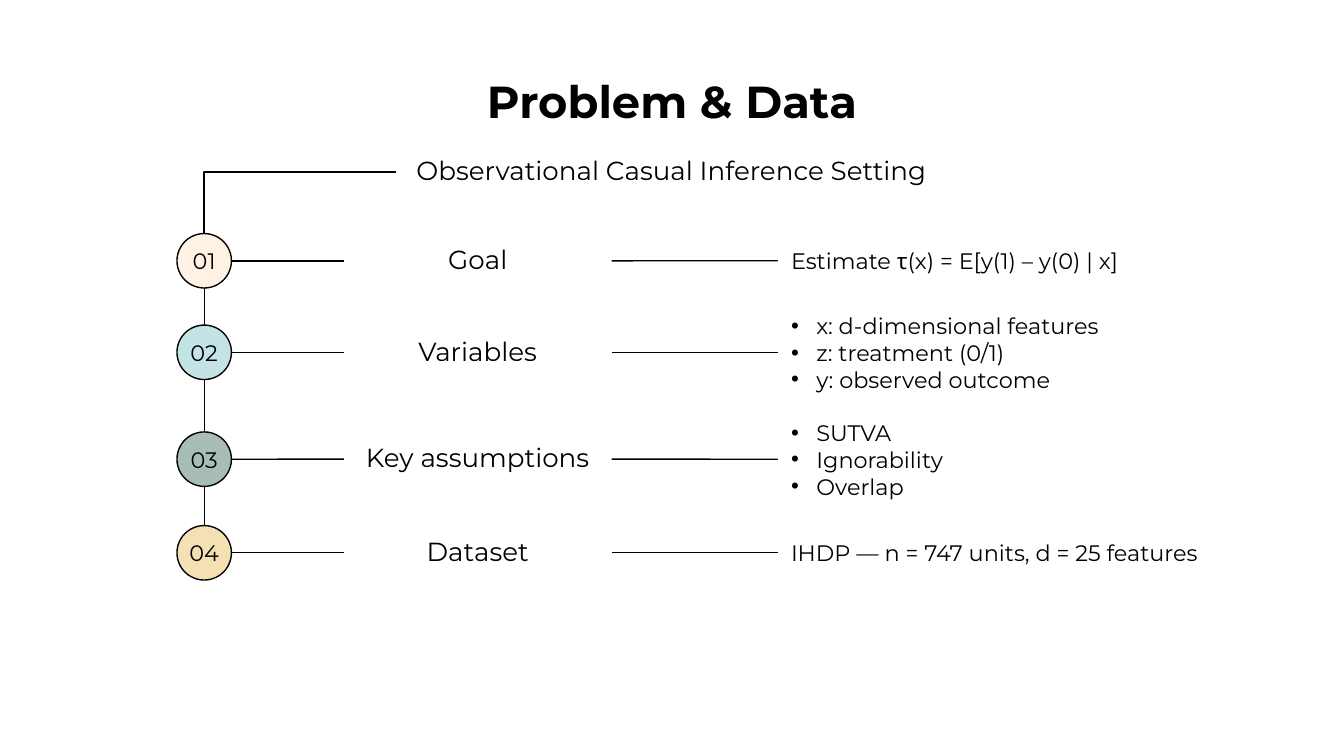
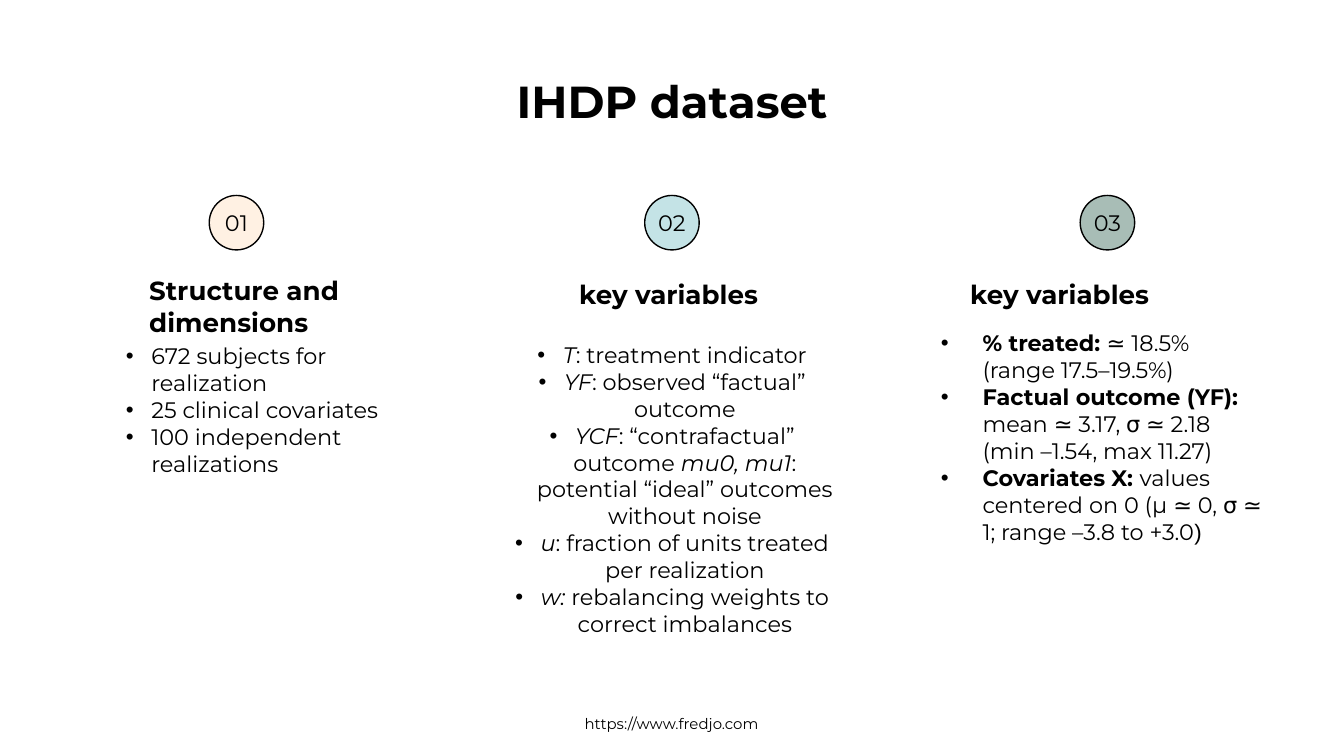
from dataclasses import dataclass

from lxml.etree import SubElement
from pptx import Presentation
from pptx.dml.color import RGBColor
from pptx.enum.shapes import MSO_CONNECTOR, MSO_SHAPE
from pptx.enum.text import MSO_ANCHOR, MSO_AUTO_SIZE, PP_ALIGN
from pptx.oxml.ns import qn
from pptx.util import Cm, Pt


@dataclass(frozen=True)
class Theme:
    font: str = "Montserrat"
    bullet_font: str = "Arial"
    ink: str = "000000"
    paper: str = "FFFFFF"
    badges: tuple = ("FFF1E3", "C4E3E6", "A8BDB6", "F5E0B3")
    title: int = 24
    heading: int = 14
    body: int = 12
    footer: int = 8
    line: float = 0.75
    badge: float = 1.03
    inset: float = 0.25


LEFT, CENTER, RIGHT = PP_ALIGN.LEFT, PP_ALIGN.CENTER, PP_ALIGN.RIGHT
TOP, MIDDLE, BOTTOM = MSO_ANCHOR.TOP, MSO_ANCHOR.MIDDLE, MSO_ANCHOR.BOTTOM


class Deck:
    def __init__(self, theme):
        self.theme = theme
        self.prs = Presentation()
        self.prs.slide_width, self.prs.slide_height = Cm(25.4), Cm(14.29)

    def new_slide(self, layout, title):
        """Start a slide on a template layout and place its title."""
        t = self.theme
        self.slide = self.prs.slides.add_slide(self.prs.slide_layouts.get_by_name(layout))
        self.slide.background.fill.solid()
        self.slide.background.fill.fore_color.rgb = RGBColor.from_string(t.paper)
        self.bodies = [ph for ph in self.slide.placeholders if ph.placeholder_format.idx > 0]
        sp = self.place(self.slide.shapes.title, (1.25, 1.14, 22.9, 1.55))
        self.fill_text(sp, [title], t.title, CENTER, TOP, bold=True)

    def place(self, sp, box):
        for name, value in zip(("left", "top", "width", "height"), box):
            setattr(sp, name, Cm(value))
        return sp

    def add_run(self, p, text, size, **fmt):
        r = p.add_run()
        r.text = text
        fmt = {"name": self.theme.font, "size": Pt(size), "bold": False, "italic": False} | fmt
        for name, value in fmt.items():
            setattr(r.font, name, value)
        r.font.color.rgb = RGBColor.from_string(self.theme.ink)

    def fill_text(self, sp, paragraphs, size, align, anchor, emphasis=None, side=None, edge=None, **fmt):
        """Fill a shape; segments between asterisks get the emphasis format."""
        tf = sp.text_frame
        side = self.theme.inset if side is None else side
        edge = self.theme.inset if edge is None else edge
        frame = {"word_wrap": True, "auto_size": MSO_AUTO_SIZE.NONE, "vertical_anchor": anchor,
                 "margin_left": Cm(side), "margin_right": Cm(side),
                 "margin_top": Cm(edge), "margin_bottom": Cm(edge)}
        for name, value in frame.items():
            setattr(tf, name, value)
        for i, text in enumerate(paragraphs):
            p = tf.add_paragraph() if i else tf.paragraphs[0]
            layout = {"alignment": align, "space_before": Pt(0), "space_after": Pt(0), "line_spacing": 1.0}
            for name, value in layout.items():
                setattr(p, name, value)
            for j, segment in enumerate(text.split("*")):
                if segment:
                    self.add_run(p, segment, size, **(fmt | (emphasis or {}) if j % 2 else fmt))
        return tf

    def text(self, box, text, size, align=CENTER, anchor=BOTTOM, **fmt):
        sp = self.slide.shapes.add_textbox(*map(Cm, box))
        self.fill_text(sp, [text], size, align, anchor, **fmt)
        return sp

    def bullets(self, box, items, align=LEFT, anchor=TOP, indent=0.48, **fmt):
        """Put a bulleted list in the next free body placeholder."""
        sp = self.place(self.bodies.pop(0), box)
        tf = self.fill_text(sp, items, self.theme.body, align, anchor, **fmt)
        for p in tf.paragraphs:
            pPr = p._p.get_or_add_pPr()
            pPr.set("marL", str(Cm(indent)))
            pPr.set("indent", str(-Cm(indent)))
            SubElement(SubElement(pPr, qn("a:buClr")), qn("a:srgbClr")).set("val", self.theme.ink)
            SubElement(pPr, qn("a:buFont")).set("typeface", self.theme.bullet_font)
            SubElement(pPr, qn("a:buChar")).set("char", "•")
        return sp

    def badge(self, x, y, index):
        """Numbered circle centred on x, y."""
        t = self.theme
        d = t.badge
        sp = self.slide.shapes.add_shape(MSO_SHAPE.OVAL, Cm(x - d / 2), Cm(y - d / 2), Cm(d), Cm(d))
        sp.shadow.inherit = False
        sp.fill.solid()
        sp.fill.fore_color.rgb = RGBColor.from_string(t.badges[index])
        self.stroke(sp)
        self.fill_text(sp, [f"{index + 1:02}"], t.body, CENTER, MIDDLE, side=0)
        return sp

    def stroke(self, sp):
        sp.line.color.rgb = RGBColor.from_string(self.theme.ink)
        sp.line.width = Pt(self.theme.line)

    def line(self, x1, y1, x2, y2, begin=None, end=None, bent=False):
        """Connector; begin and end are (shape, site) pairs to join."""
        kind = MSO_CONNECTOR.ELBOW if bent else MSO_CONNECTOR.STRAIGHT
        c = self.slide.shapes.add_connector(kind, *map(Cm, (x1, y1, x2, y2)))
        if bent:  # a single corner
            c._element.spPr.find(qn("a:prstGeom")).set("prst", "bentConnector2")
        self.stroke(c)
        SubElement(c._element.spPr, qn("a:effectLst"))
        if begin:
            c.begin_connect(*begin)
        if end:
            c.end_connect(*end)

    def finish_slide(self):
        """Remove the placeholders left empty."""
        for ph in self.bodies:
            ph._element.getparent().remove(ph._element)


def problem_slide(s):
    t = s.theme
    s.new_slide("Two Content", "Problem & Data")
    axis, radius = 3.86, t.badge / 2
    name_x, name_w, detail_x, detail_h = 6.5, 5.06, 14.7, 1.32
    rows = [
        (4.93, "Goal", "Estimate τ(x) = E[y(1) – y(0) | x]", 7.34),
        (6.66, "Variables", ["x: d‑dimensional features", "z: treatment (0/1)",
                             "y: observed outcome"], 7.34),
        (8.68, "Key assumptions", ["SUTVA", "Ignorability", "Overlap"], 7.34),
        (10.45, "Dataset", "IHDP — n = 747 units, d = 25 features", 9.17),
    ]

    # Vertical axis behind the badges
    s.line(axis, rows[0][0] + radius, axis, rows[-1][0] - radius)
    subtitle = s.text((7.49, 2.74, 10.41, t.badge), "Observational Casual Inference Setting", t.heading)

    # Rows: badge, name, detail
    for i, (y, name, detail, width) in enumerate(rows):
        badge = s.badge(axis, y, i)
        label = s.text((name_x, y - radius, name_w, t.badge), name, t.heading)
        box = (detail_x, y - detail_h / 2, width, detail_h)
        if isinstance(detail, list):
            info = s.bullets(box, detail, anchor=MIDDLE)
        else:
            info = s.text(box, detail, t.body, LEFT, MIDDLE)
        s.line(axis + radius, y, name_x, y, end=(label, 1))
        s.line(name_x + name_w, y, detail_x, y, (label, 3), (info, 1))
        if i == 0:
            s.line(7.49, 3.26, axis, y - radius, (subtitle, 1), (badge, 0), bent=True)
    s.finish_slide()


def dataset_slide(s):
    t = s.theme
    s.new_slide("Comparison", "IHDP dataset")

    # Badges and column headings
    headings = [
        ((2.57, 5.08, 5.08, 1.55), "Structure and dimensions", LEFT),
        ((10.59, 5.08, 3.99, t.badge), "key variables", RIGHT),
        ((17.98, 5.08, 3.99, t.badge), "key variables", RIGHT),
    ]
    for i, (box, text, align) in enumerate(headings):
        s.badge(12.7 + 8.23 * (i - 1), 4.21, i)
        s.text(box, text, t.heading, align, bold=True)

    # Column lists
    s.bullets((2.13, 6.22, 5.77, 1.9), [
        "672 subjects for realization",
        "25 clinical covariates",
        "100 independent realizations",
    ])
    s.bullets((9.3, 6.2, 6.81, 1.9), [
        "*T*: treatment indicator",
        "*YF*: observed “factual” outcome",
        "*YCF*: “contrafactual” outcome *mu0, mu1*: potential “ideal” outcomes without noise",
        "*u*: fraction of units treated per realization",
        "*w: *rebalancing weights to correct imbalances",
    ], CENTER, emphasis={"italic": True})
    stats = s.bullets((17.53, 6.1, 6.63, 4.88), [
        "*% treated: *≃ 18.5% (range 17.5–19.5%)",
        "*Factual outcome (YF): *mean ≃ 3.17, σ ≃ 2.18 (min –1.54, max 11.27)",
        "*Covariates X: *values centered on 0 (μ ≃ 0, σ ≃ 1; range –3.8 to +3.0",
    ], indent=0.79, edge=0.13, emphasis={"bold": True})
    s.add_run(stats.text_frame.paragraphs[-1], ")", t.body, name=t.bullet_font)
    stats.text_frame.auto_size = MSO_AUTO_SIZE.SHAPE_TO_FIT_TEXT

    # Source address
    s.text((8.53, 13.44, 8.33, 0.46), "https://www.fredjo.com", t.footer, CENTER, MIDDLE)
    s.finish_slide()


def main():
    s = Deck(Theme())
    problem_slide(s)
    dataset_slide(s)
    s.prs.save("out.pptx")


if __name__ == "__main__":
    main()
